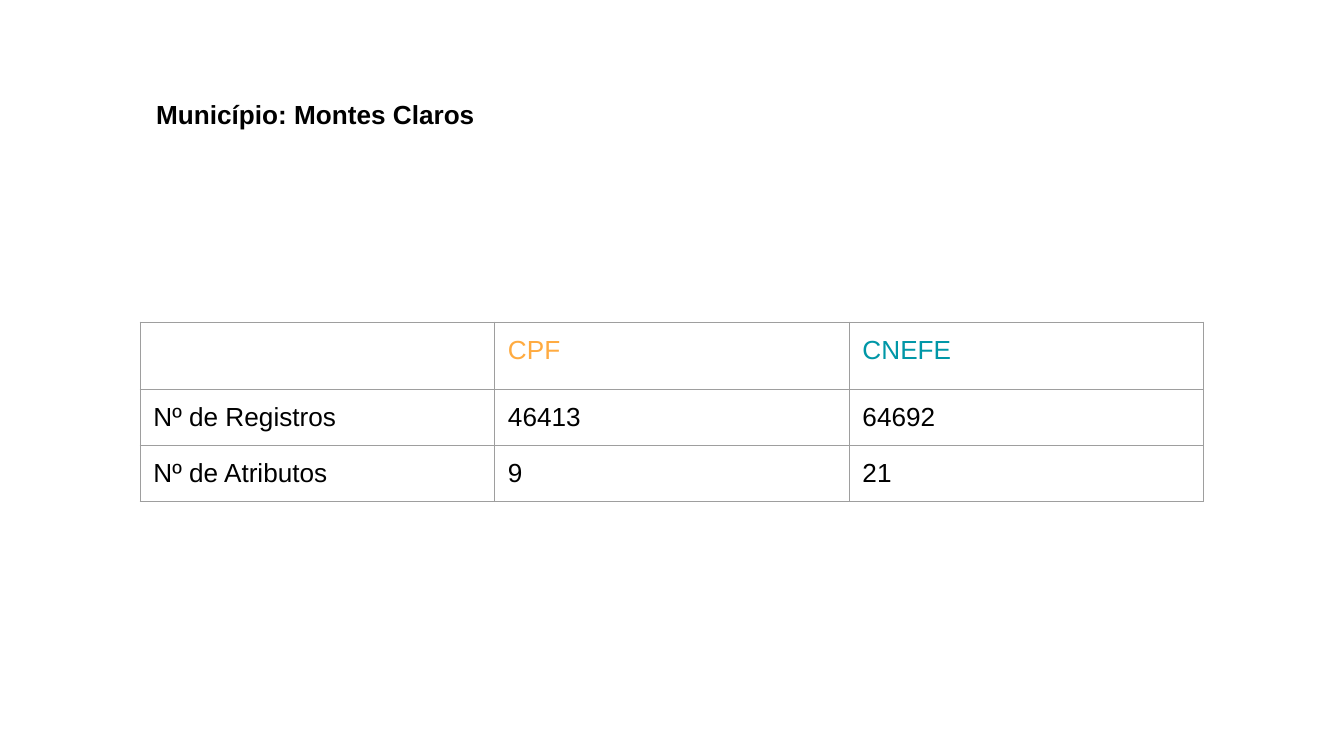
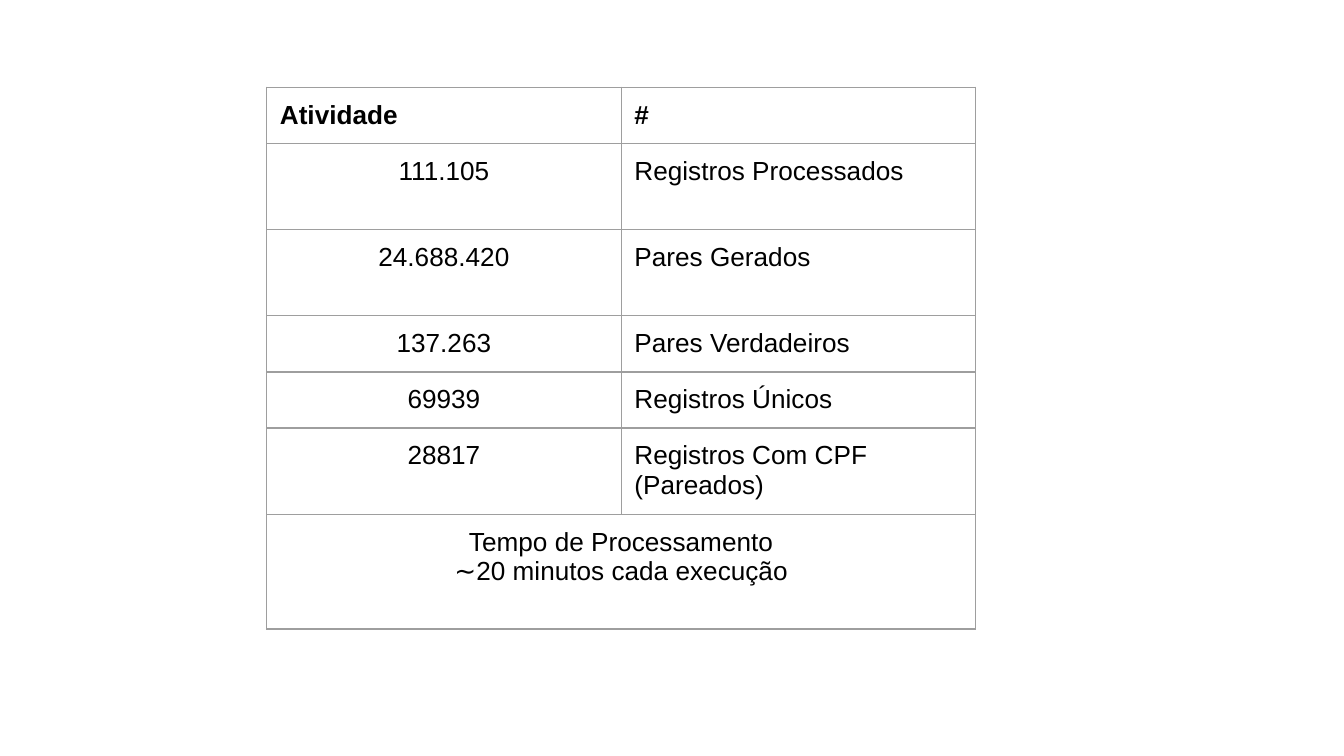
"""Build two slides of record-linkage figures for Montes Claros."""
from pptx import Presentation
from pptx.dml.color import RGBColor
from pptx.enum.text import MSO_ANCHOR as Anchor, MSO_AUTO_SIZE as AutoSize, PP_ALIGN as Align
from pptx.oxml import parse_xml
from pptx.oxml.ns import nsdecls
from pptx.util import Cm, Pt

BLACK = RGBColor(0x00, 0x00, 0x00)
ORANGE = RGBColor(0xFF, 0xAB, 0x40)
TEAL = RGBColor(0x00, 0x97, 0xA7)
GRAY = RGBColor(0x9E, 0x9E, 0x9E)
FONT = "Arial"
SIZE = Pt(14)
INSET = Cm(0.25)
COLUMN = Cm(6.7)


def style_text(holder, color=BLACK, bold=False, align=Align.LEFT):
    holder.margin_left = holder.margin_right = INSET
    holder.margin_top = holder.margin_bottom = INSET
    holder.vertical_anchor = Anchor.TOP
    for para in holder.text_frame.paragraphs if hasattr(holder, "text_frame") else holder.paragraphs:
        para.alignment = align
        for span in para.runs:
            span.font.name = FONT
            span.font.size = SIZE
            span.font.bold = bold
            span.font.color.rgb = color


def add_grid(page, left, top, heights, rows):
    columns = len(rows[0])
    table = page.shapes.add_table(len(rows), columns, left, top, COLUMN * columns, sum(heights)).table
    table.first_row = table.horz_banding = False
    for column in table.columns:
        column.width = COLUMN
    for row, height, texts in zip(table.rows, heights, rows):
        row.height = height
        for cell, text in zip(row.cells, texts):
            cell.text_frame.text = text
            cell.fill.background()
            style_text(cell)
            for position, side in enumerate(("lnL", "lnR", "lnT", "lnB")):
                cell._tc.get_or_add_tcPr().insert(position, parse_xml(
                    f'<a:{side} {nsdecls("a")} w="{Pt(0.75)}"><a:solidFill>'
                    f'<a:srgbClr val="{GRAY}"/></a:solidFill></a:{side}>'))
    return table


deck = Presentation()
deck.slide_width = Cm(25.4)
deck.slide_height = Cm(14.29)
title_only, blank = deck.slide_layouts[5], deck.slide_layouts[6]

page = deck.slides.add_slide(title_only)
title = page.shapes.title
title.left, title.top, title.width, title.height = Cm(2.7), Cm(1.6), Cm(19.48), Cm(3.28)
title.text_frame.text = "Município: Montes Claros"
title.text_frame.auto_size = AutoSize.NONE
style_text(title.text_frame, bold=True)

sources = add_grid(page, Cm(2.65), Cm(6.09), [Cm(1.21), Cm(1.06), Cm(1.06)], [
    ("", "CPF", "CNEFE"),
    ("Nº de Registros", "46413", "64692"),
    ("Nº de Atributos", "9", "21"),
])
for column, color in ((1, ORANGE), (2, TEAL)):
    style_text(sources.cell(0, column), color)

page = deck.slides.add_slide(blank)
low, tall, closing = Cm(1.06), Cm(1.63), Cm(2.17)
results = add_grid(page, Cm(5.04), Cm(1.65), [low, tall, tall, low, low, tall, closing], [
    ("Atividade", "#"),
    ("111.105", "Registros Processados"),
    ("24.688.420", "Pares Gerados"),
    ("137.263", "Pares Verdadeiros"),
    ("69939", "Registros Únicos"),
    ("28817", "Registros Com CPF (Pareados)"),
    ("Tempo de Processamento\n∼20 minutos cada execução", ""),
])
for header in results.rows[0].cells:
    style_text(header, bold=True)
for row in range(1, len(results.rows)):
    style_text(results.cell(row, 0), align=Align.CENTER)
results.cell(6, 0).merge(results.cell(6, 1))

deck.save("out.pptx")
